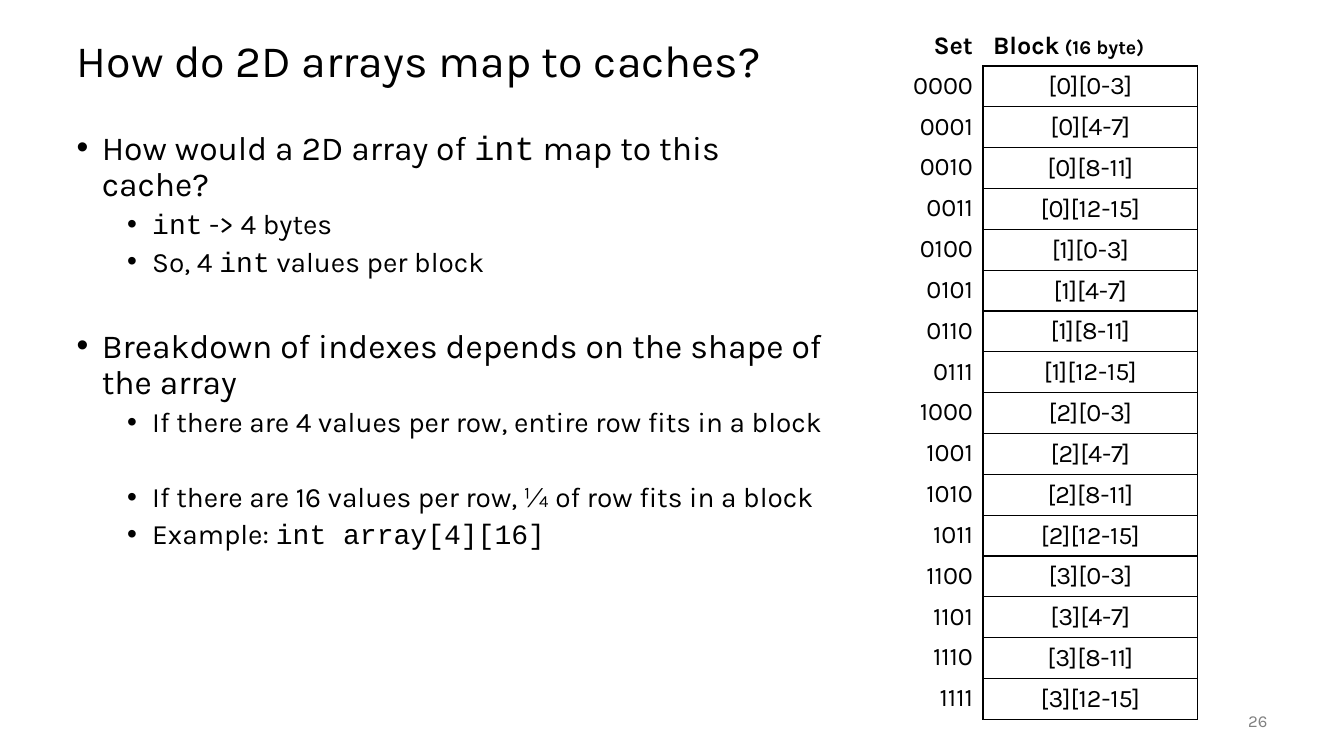
from dataclasses import dataclass

from lxml.etree import SubElement
from pptx import Presentation
from pptx.dml.color import RGBColor
from pptx.enum.text import MSO_ANCHOR, MSO_AUTO_SIZE, PP_ALIGN
from pptx.oxml.ns import qn
from pptx.util import Inches, Pt


@dataclass(frozen=True)
class Theme:
    ink: str = "000000"
    paper: str = "FFFFFF"
    muted: str = "808080"
    sans: str = "Karla"
    mono: str = "Courier New"
    title: int = 32
    levels: tuple = (24, 20)
    table: int = 18
    note: int = 14
    number: int = 12
    border: int = 1


T = Theme()
WIDTH, HEIGHT = 13.33, 7.5
BLANK_LINE = 26.5  # points of space that separate groups of bullets

# Each bullet: level, extra space before, runs of (text, font)
BULLETS = [
    (0, 0, [("How would a 2D array of ", T.sans), ("int", T.mono),
            (" map to this cache?", T.sans)]),
    (1, 0, [("int", T.mono), (" -> 4 bytes", T.sans)]),
    (1, 0, [("So, 4 ", T.sans), ("int", T.mono), (" values per block", T.sans)]),
    (0, BLANK_LINE, [("Breakdown of indexes depends on the shape of the array", T.sans)]),
    (1, 0, [("If there are 4 values per row, entire row fits in a block", T.sans)]),
    (1, BLANK_LINE, [("If there are 16 values per row, ¼ of row fits in a block", T.sans)]),
    (1, 0, [("Example: ", T.sans), ("int array[4][16]", T.mono)]),
]


def apply(obj, formats):
    for name, value in formats.items():
        setattr(obj, name, value)


def add_run(p, text, size, font=T.sans, color=T.ink, bold=False):
    r = p.add_run()
    r.text = text
    apply(r.font, {"name": font, "size": Pt(size), "bold": bold})
    r.font.color.rgb = RGBColor.from_string(color)


def place(sp, box, anchor):
    apply(sp, dict(zip(("left", "top", "width", "height"), map(Inches, box))))
    tf = sp.text_frame
    apply(tf, {"word_wrap": True, "auto_size": MSO_AUTO_SIZE.NONE,
               "vertical_anchor": anchor})
    return tf


def add_title(slide, box):
    p = place(slide.shapes.title, box, MSO_ANCHOR.MIDDLE).paragraphs[0]
    apply(p, {"alignment": PP_ALIGN.LEFT, "line_spacing": 0.9})
    add_run(p, "How do 2D arrays map to caches?", T.title)


def add_bullets(slide, box):
    tf = place(slide.placeholders[1], box, MSO_ANCHOR.TOP)
    for i, (level, gap, runs) in enumerate(BULLETS):
        p = tf.add_paragraph() if i else tf.paragraphs[0]
        before = (10, 5)[level] + gap if i else 0
        apply(p, {"level": level, "line_spacing": 0.9,
                  "space_before": Pt(before), "space_after": Pt(0)})
        pPr = p._p.get_or_add_pPr()
        pPr.set("marL", str(Inches(0.25 + 0.5 * level)))
        pPr.set("indent", str(Inches(-0.25)))
        SubElement(pPr, qn("a:buFont")).set("typeface", "Arial")
        SubElement(pPr, qn("a:buChar")).set("char", "•")
        for text, font in runs:
            add_run(p, text, T.levels[level], font)


def set_borders(cell, sides):
    """Draw the named sides of a cell and clear the others."""
    tcPr = cell._tc.get_or_add_tcPr()
    for side in "LRTB":
        ln = SubElement(tcPr, qn(f"a:ln{side}"), w=str(Pt(T.border)))
        if side in sides:
            fill = SubElement(ln, qn("a:solidFill"))
            SubElement(fill, qn("a:srgbClr"), val=T.ink)
        else:
            SubElement(ln, qn("a:noFill"))


def fill_cell(cell, runs, align, anchor, sides, bold=False):
    set_borders(cell, sides)
    cell.fill.solid()
    cell.fill.fore_color.rgb = RGBColor.from_string(T.paper)
    cell.vertical_anchor = anchor
    p = cell.text_frame.paragraphs[0]
    p.alignment = align
    for text, size in runs:
        add_run(p, text, size, bold=bold)


def add_cache_table(slide, box, sets=16, per_block=4):
    x, y, w, h = box
    table = slide.shapes.add_table(sets + 1, 2, *map(Inches, box)).table
    apply(table, {"first_row": False, "horz_banding": False})
    for column, width in zip(table.columns, (0.89, w - 0.89)):
        column.width = Inches(width)
    for row in table.rows:
        row.height = Inches(h / (sets + 1))

    # Header
    middle = MSO_ANCHOR.MIDDLE
    fill_cell(table.cell(0, 0), [("Set", T.table)], PP_ALIGN.RIGHT, middle, "", True)
    fill_cell(table.cell(0, 1), [("Block", T.table), (" (16 byte)", T.note)],
              PP_ALIGN.LEFT, middle, "B", True)

    # One row per set: its binary number and the array elements it holds
    for n in range(sets):
        array_row, block = divmod(n, 4)
        first = block * per_block
        label = f"[{array_row}][{first}-{first + per_block - 1}]"
        fill_cell(table.cell(n + 1, 0), [(f"{n:04b}", T.table)],
                  PP_ALIGN.RIGHT, MSO_ANCHOR.TOP, "R")
        fill_cell(table.cell(n + 1, 1), [(label, T.table)],
                  PP_ALIGN.CENTER, middle, "LRTB")


def add_number(slide, box):
    sp = slide.shapes.add_textbox(*map(Inches, box))
    p = place(sp, box, MSO_ANCHOR.MIDDLE).paragraphs[0]
    p.alignment = PP_ALIGN.RIGHT
    add_run(p, "26", T.number, color=T.muted)


def main():
    prs = Presentation()
    apply(prs, {"slide_width": Inches(WIDTH), "slide_height": Inches(HEIGHT)})
    slide = prs.slides.add_slide(prs.slide_layouts[1])
    margin, top = 0.66, HEIGHT / 30
    add_title(slide, (margin, top, WIDTH * 0.9, HEIGHT / 10))
    add_bullets(slide, (margin, HEIGHT / 6, 7.7, 5.5))
    add_number(slide, (WIDTH - margin - 1, 6.95, 1, 0.4))
    add_cache_table(slide, (8.86, top, 3.02, 6.89))
    prs.save("out.pptx")


if __name__ == "__main__":
    main()
